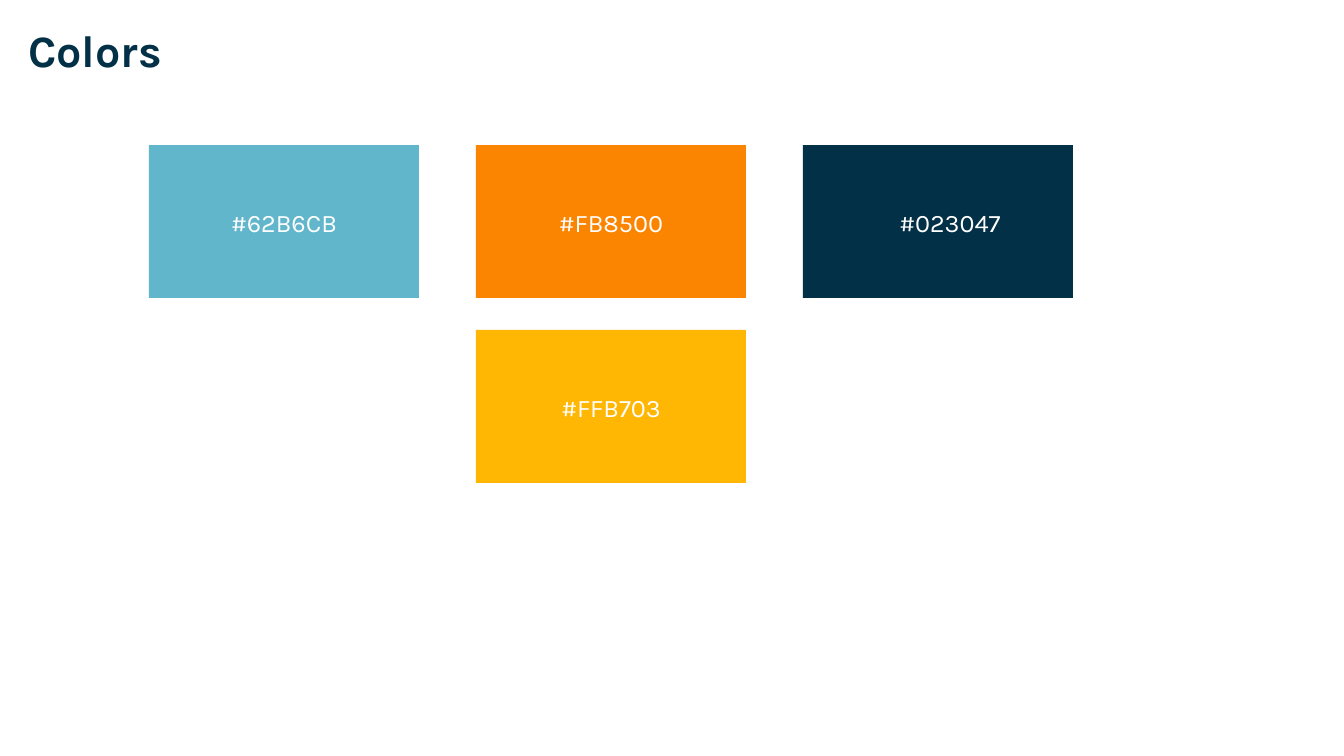
import pptx
import pptx.util
import pptx.dml.color
import pptx.enum.shapes
import pptx.enum.text

RGBColor = pptx.dml.color.RGBColor
WHITE = RGBColor(0xFF, 0xFF, 0xFF)
SKY = RGBColor(0x62, 0xB6, 0xCB)
ORANGE = RGBColor(0xFB, 0x85, 0x00)
NAVY = RGBColor(0x02, 0x30, 0x47)
YELLOW = RGBColor(0xFF, 0xB7, 0x03)
FONT = "Karla"
SCALE = 914400 / 100.8


def px(*lengths):
    return [pptx.util.Emu(round(n * SCALE)) for n in lengths]


def add_run(p, text, size, color, bold=False):
    r = p.add_run()
    r.text = text
    r.font.name = FONT
    r.font.size = pptx.util.Pt(size)
    r.font.bold = bold
    r.font.color.rgb = color


prs = pptx.Presentation()
prs.slide_width, prs.slide_height = px(1344, 756)
s = prs.slides.add_slide(prs.slide_layouts[5])
s.background.fill.solid()
s.background.fill.fore_color.rgb = WHITE

title = s.shapes.title
title.left, title.top, title.width, title.height = px(18, 8, 1159, 89)
tf = title.text_frame
tf.vertical_anchor = pptx.enum.text.MSO_ANCHOR.MIDDLE
p = tf.paragraphs[0]
p.alignment = pptx.enum.text.PP_ALIGN.LEFT
p.line_spacing = 0.9
add_run(p, "Colors", 32, NAVY, True)

LEFT, TOP, STEP_X, STEP_Y = 149, 145, 327, 185
swatches = [
    (0, 0, SKY, 62),
    (1, 0, ORANGE, 62),
    (2, 0, NAVY, 74),
    (1, 1, YELLOW, 62),
]
for col, row, color, inset in swatches:
    x, y = LEFT + col * STEP_X, TOP + row * STEP_Y
    sp = s.shapes.add_shape(pptx.enum.shapes.MSO_SHAPE.RECTANGLE, *px(x, y, 270, 153))
    sp.shadow.inherit = False
    sp.fill.solid()
    sp.fill.fore_color.rgb = color
    sp.line.fill.background()

    label = s.shapes.add_textbox(*px(x + inset, y + 57, 146, 40))
    tf = label.text_frame
    tf.word_wrap = True
    tf.auto_size = pptx.enum.text.MSO_AUTO_SIZE.SHAPE_TO_FIT_TEXT
    p = tf.paragraphs[0]
    p.alignment = pptx.enum.text.PP_ALIGN.CENTER
    add_run(p, f"#{color}", 18, WHITE)

prs.save("out.pptx")
